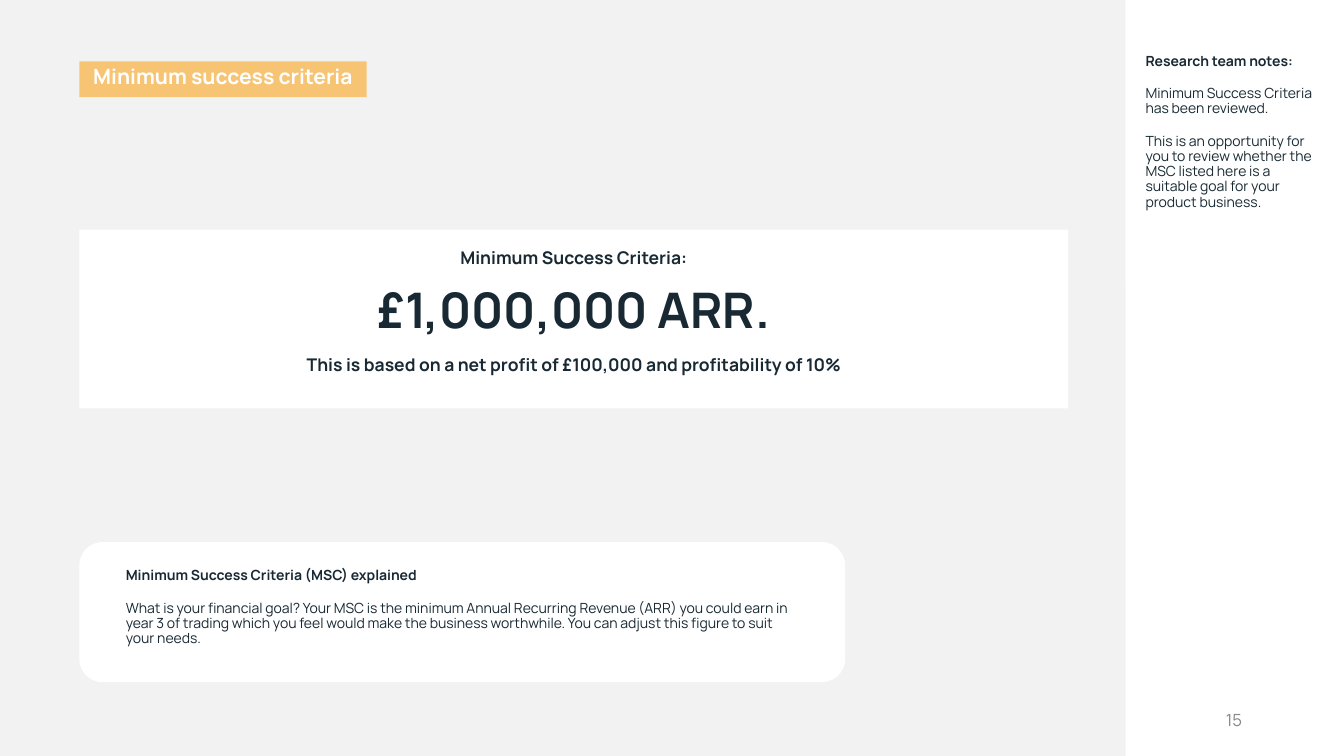
from pptx import Presentation
from pptx.dml.color import RGBColor
from pptx.enum import shapes, text
from pptx.util import Cm, Pt

BACKGROUND = RGBColor(0xF2, 0xF2, 0xF2)
WHITE = RGBColor(0xFF, 0xFF, 0xFF)
AMBER = RGBColor(0xF7, 0xC4, 0x73)
NAVY = RGBColor(0x18, 0x29, 0x33)
GREY = RGBColor(0x88, 0x88, 0x88)

RECTANGLE = shapes.MSO_SHAPE.RECTANGLE
ROUNDED = shapes.MSO_SHAPE.ROUNDED_RECTANGLE
LEFT, CENTER, RIGHT = text.PP_ALIGN.LEFT, text.PP_ALIGN.CENTER, text.PP_ALIGN.RIGHT
TOP, MIDDLE = text.MSO_ANCHOR.TOP, text.MSO_ANCHOR.MIDDLE


def add_panel(kind, left, top, width, height, fill):
    shape = slide.shapes.add_shape(kind, Cm(left), Cm(top), Cm(width), Cm(height))
    shape.shadow.inherit = False
    shape.fill.solid()
    shape.fill.fore_color.rgb = fill
    shape.line.fill.background()
    return shape


def write(shape, lines, insets, color=NAVY, align=LEFT, anchor=TOP):
    """Fill a shape with (wording, size, bold) lines; insets run left, top, right, bottom in cm."""
    frame = shape.text_frame
    frame.word_wrap = True
    frame.vertical_anchor = anchor
    (frame.margin_left, frame.margin_top,
     frame.margin_right, frame.margin_bottom) = [Cm(inset) for inset in insets]
    for index, (wording, size, bold) in enumerate(lines):
        paragraph = frame.add_paragraph() if index else frame.paragraphs[0]
        paragraph.text = wording
        paragraph.alignment = align
        paragraph.line_spacing = 0.9
        if index:
            paragraph.space_before = Pt(12.5)
        font = paragraph.font
        font.name, font.size, font.bold = "Manrope", Pt(size), bold
        font.color.rgb = color


presentation = Presentation()
presentation.slide_width, presentation.slide_height = Cm(33.87), Cm(19.05)
slide = presentation.slides.add_slide(presentation.slide_layouts[6])
slide.background.fill.solid()
slide.background.fill.fore_color.rgb = BACKGROUND

title = add_panel(RECTANGLE, 2, 1.55, 7.24, 0.9, AMBER)
write(title, [("Minimum success criteria", 15, True)], (0.35, 0.13, 0.13, 0.13), WHITE)

add_panel(RECTANGLE, 28.37, 0, 5.5, 19.05, WHITE)
notes = add_panel(RECTANGLE, 28.37, 0, 5.31, 7.1, WHITE)
write(notes, [
    ("Research team notes:", 10, True),
    ("Minimum Success Criteria has been reviewed.", 10, False),
    ("This is an opportunity for you to review whether the MSC listed here "
     "is a suitable goal for your product business.", 10, False),
], (0.5, 1.36, 0.5, 0.5))

page_number = slide.shapes.add_textbox(Cm(23.93), Cm(17.65), Cm(7.62), Cm(1.02))
write(page_number, [("15", 12, False)], (0.25, 0.13, 0.25, 0.13), GREY, RIGHT, MIDDLE)

criteria = add_panel(RECTANGLE, 2, 5.79, 24.92, 4.5, WHITE)
write(criteria, [
    ("Minimum Success Criteria:", 12.5, True),
    ("£1,000,000 ARR.", 35, True),
    ("This is based on a net profit of £100,000 and profitability of 10%", 12.5, True),
], (1, 0.5, 1, 0.5), align=CENTER)

explanation = add_panel(ROUNDED, 2, 13.66, 19.3, 3.53, WHITE)
write(explanation, [
    ("Minimum Success Criteria (MSC) explained", 10, True),
    ("What is your financial goal? Your MSC is the minimum Annual Recurring Revenue (ARR) "
     "you could earn in year 3 of trading which you feel would make the business worthwhile. "
     "You can adjust this figure to suit your needs.", 10, False),
], (1, 0.5, 1, 0.5))

presentation.save("out.pptx")
